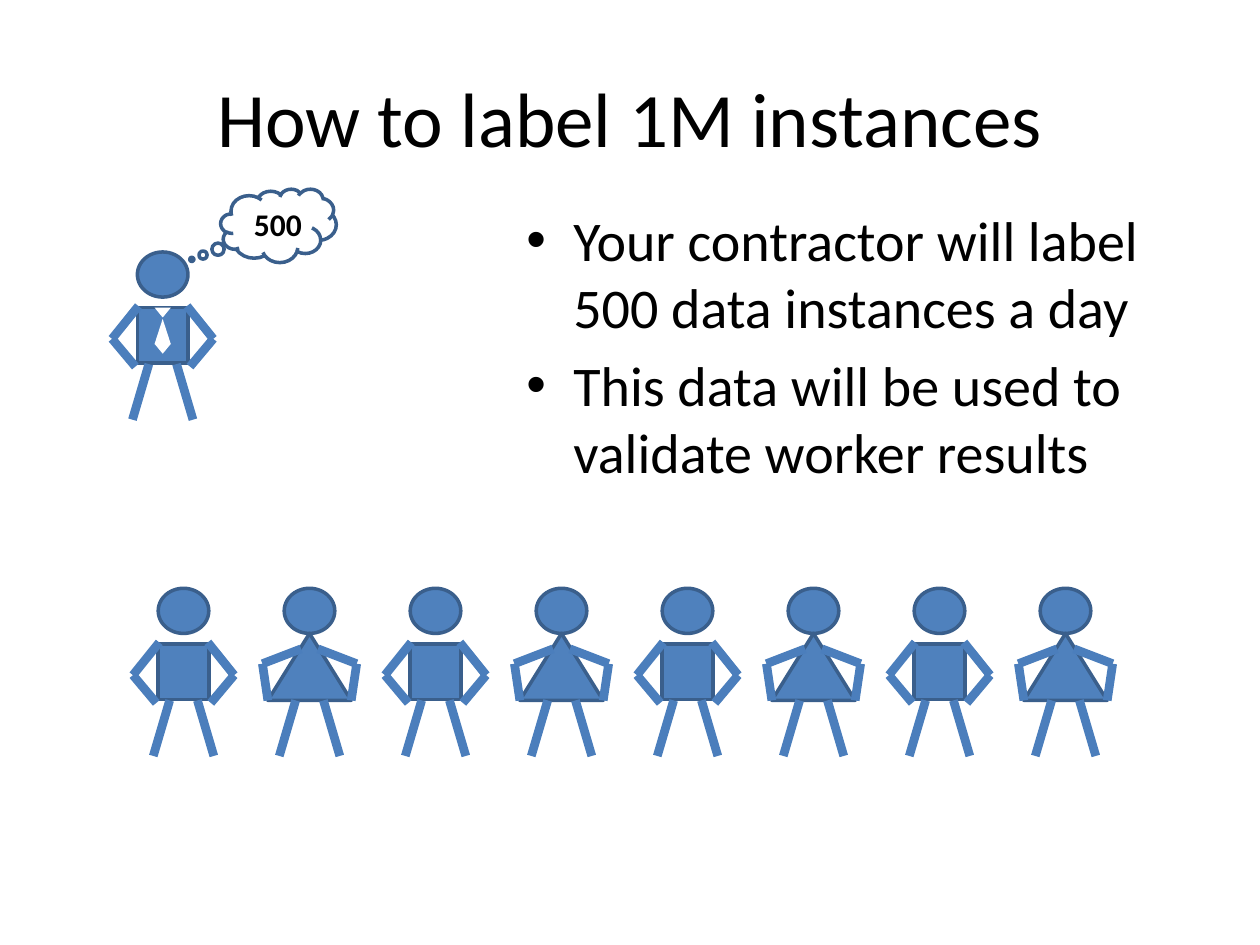
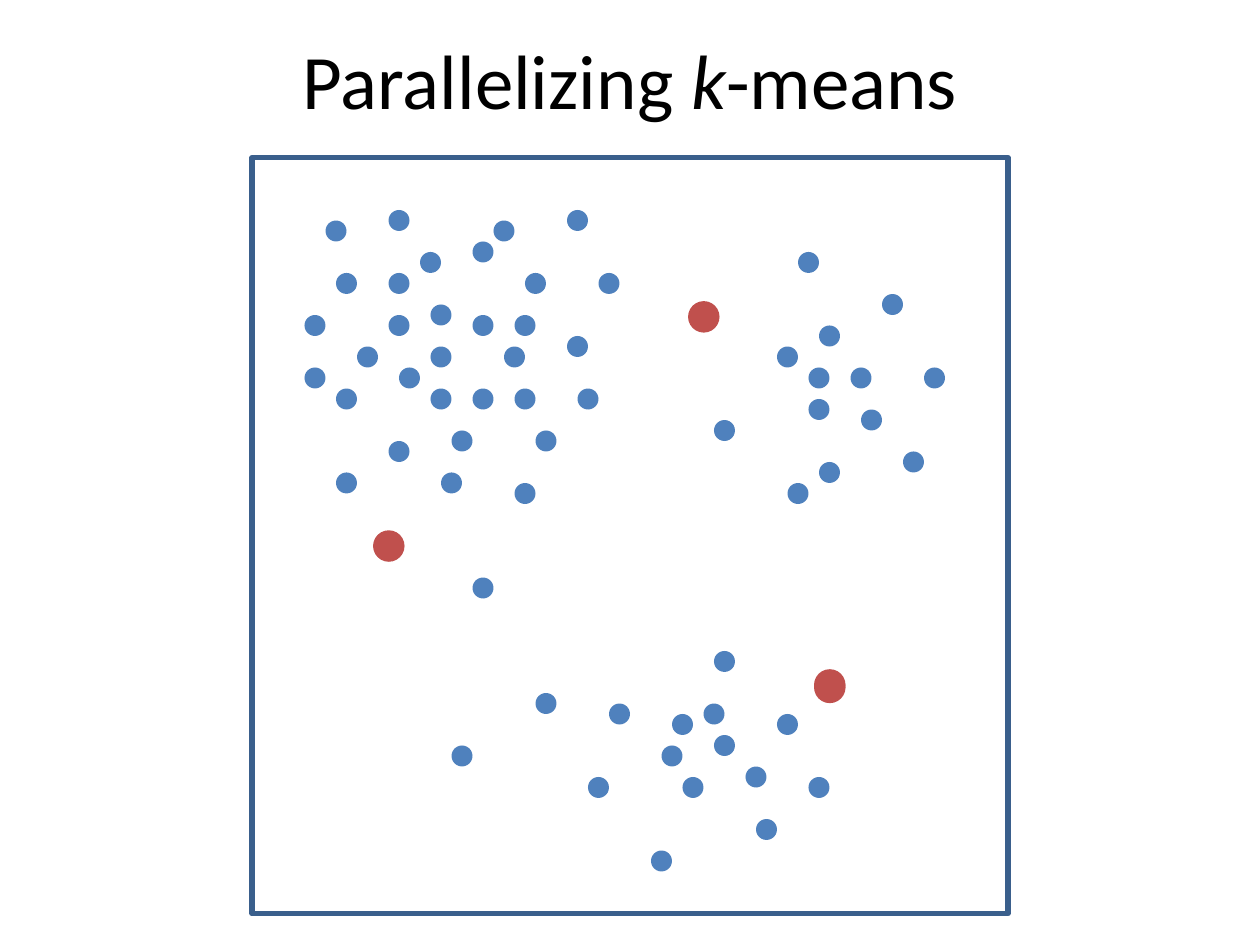
from dataclasses import dataclass

from lxml import etree
from pptx import Presentation
from pptx.dml.color import RGBColor
from pptx.enum.shapes import MSO_CONNECTOR, MSO_SHAPE
from pptx.enum.text import MSO_ANCHOR, MSO_AUTO_SIZE, PP_ALIGN
from pptx.oxml.ns import qn
from pptx.util import Cm, Pt

ELLIPSE = MSO_SHAPE.OVAL
RECTANGLE = MSO_SHAPE.RECTANGLE
TRIANGLE = MSO_SHAPE.ISOSCELES_TRIANGLE
CLOUD = MSO_SHAPE.CLOUD_CALLOUT
STRAIGHT = MSO_CONNECTOR.STRAIGHT
CENTER = PP_ALIGN.CENTER
LEFT = PP_ALIGN.LEFT
MIDDLE = MSO_ANCHOR.MIDDLE
GROW = MSO_AUTO_SIZE.SHAPE_TO_FIT_TEXT
TITLE_ONLY = 5


@dataclass(frozen=True)
class Theme:
    font: str = "Calibri"
    text: str = "000000"
    blue: str = "4F81BD"
    outline: str = "3A5F8C"
    limb: str = "4B7EBC"
    red: str = "C0504D"
    white: str = "FFFFFF"
    title_size: int = 44
    body_size: int = 32
    label_size: int = 18


# Figure proportions in cm, measured from the middle of the head's top
HEAD = (1.02, 0.91)
MAN_ARM = [(0.49, 1.09), (1.02, 1.75), (0.55, 2.31)]
WOMAN_ARM = [(0.17, 1.22), (0.95, 1.52), (0.84, 2.26)]
LEG = [(0.28, 2.26), (0.61, 3.38)]
# Tie pieces: top, height, rotation
TIE = [(1.35, 0.51, 0), (1.85, 0.2, 180), (1.12, 0.2, 180)]
TIE_WIDTH = 0.33
WORKERS = 8
WORKER_PITCH = 2.54

# Scatter positions count grid steps from the slide's top left corner
GRID = 2.54 / 12
DOT_SIZE = 2 * GRID
CENTROID_SIZE = 3 * GRID
LEFT_CLUSTER = [
    (31, 21), (37, 20), (47, 21), (54, 20), (45, 23), (40, 24), (32, 26),
    (37, 26), (50, 26), (57, 26), (41, 29), (29, 30), (37, 30), (45, 30),
    (49, 30), (54, 32), (34, 33), (41, 33), (48, 33), (29, 35), (38, 35),
    (32, 37), (41, 37), (45, 37), (49, 37), (55, 37), (43, 41), (51, 41),
    (37, 42), (32, 45), (42, 45), (49, 46), (45, 55),
]
RIGHT_CLUSTER = [
    (76, 24), (84, 28), (78, 31), (74, 33), (77, 35), (81, 35), (88, 35),
    (77, 38), (82, 39), (68, 40), (86, 43), (78, 44), (75, 46),
]
LOWER_CLUSTER = [
    (68, 62), (51, 66), (58, 67), (67, 67), (64, 68), (74, 68), (68, 70),
    (43, 71), (63, 71), (71, 73), (56, 74), (65, 74), (77, 74), (72, 78),
    (62, 81),
]
# Centroid corners in cm
CENTROIDS = [(7.52, 10.69), (13.87, 6.07), (16.41, 13.54), (16.41, 13.49)]


def color(value):
    return RGBColor.from_string(value)


def add_text(para, text, *, font, size, fill, bold=False, italic=False):
    span = para.add_run()
    span.text = text
    span.font.name = font
    span.font.size = Pt(size)
    span.font.bold = bold
    span.font.italic = italic
    span.font.color.rgb = color(fill)


class SlideBuilder:
    """Holds the style and the slide being drawn."""

    def __init__(self, deck, theme):
        self.deck = deck
        self.theme = theme
        self.page = None
        self.shapes = None

    def start(self, top, spans):
        """Add a slide whose title is a list of (text, italic) spans."""
        layout = self.deck.slide_layouts[TITLE_ONLY]
        self.page = self.deck.slides.add_slide(layout)
        self.shapes = self.page.shapes
        title = self.page.shapes.title
        title.left, title.top = Cm(1.27), Cm(top)
        title.width, title.height = Cm(22.86), Cm(3.18)
        title.text_frame.vertical_anchor = MIDDLE
        para = title.text_frame.paragraphs[0]
        para.alignment = CENTER
        for text, italic in spans:
            add_text(para, text, font=self.theme.font,
                     size=self.theme.title_size, fill=self.theme.text,
                     italic=italic)

    def begin_group(self):
        self.shapes = self.page.shapes.add_group_shape().shapes

    def end_group(self):
        self.shapes = self.page.shapes

    def shape(self, kind, left, top, width, height, fill=None, line=None,
              line_width=2):
        box = self.shapes.add_shape(kind, Cm(left), Cm(top), Cm(width),
                                    Cm(height))
        box.shadow.inherit = False
        if fill:
            box.fill.solid()
            box.fill.fore_color.rgb = color(fill)
        else:
            box.fill.background()
        if line:
            box.line.color.rgb = color(line)
            box.line.width = Pt(line_width)
        else:
            box.line.fill.background()
        return box

    def limb(self, center, top, side, points):
        """Join the points by straight lines; side is -1 or 1."""
        for (x1, y1), (x2, y2) in zip(points, points[1:]):
            line = self.shapes.add_connector(
                STRAIGHT, Cm(center + side * x1), Cm(top + y1),
                Cm(center + side * x2), Cm(top + y2))
            line.line.color.rgb = color(self.theme.limb)
            line.line.width = Pt(5)
            etree.SubElement(line._element.spPr, qn("a:effectLst"))

    def person(self, center, top, woman=False, tie=False):
        theme = self.theme
        self.begin_group()
        # Head and body
        if woman:
            kind, width, body_top, height = TRIANGLE, 1.68, 0.91, 1.35
        else:
            kind, width, body_top, height = RECTANGLE, 1.02, 1.12, 1.12
        self.shape(ELLIPSE, center - HEAD[0] / 2, top, *HEAD,
                   theme.blue, theme.outline)
        self.shape(kind, center - width / 2, top + body_top, width, height,
                   theme.blue, theme.outline)
        # Arms and legs
        for side in (1, -1):
            self.limb(center, top, side, WOMAN_ARM if woman else MAN_ARM)
            self.limb(center, top, side, LEG)
        # Tie
        for piece_top, piece_height, rotation in TIE if tie else []:
            piece = self.shape(TRIANGLE, center - TIE_WIDTH / 2,
                               top + piece_top, TIE_WIDTH, piece_height,
                               theme.white)
            piece.rotation = rotation
        self.end_group()

    def bullets(self, left, top, width, height, lines):
        box = self.shapes.add_textbox(Cm(left), Cm(top), Cm(width), Cm(height))
        frame = box.text_frame
        frame.word_wrap = True
        for index, text in enumerate(lines):
            para = frame.add_paragraph() if index else frame.paragraphs[0]
            properties = para._p.get_or_add_pPr()
            properties.set("marL", str(Cm(0.95)))
            properties.set("indent", str(-Cm(0.95)))
            etree.SubElement(properties, qn("a:buFont"), typeface="Arial")
            etree.SubElement(properties, qn("a:buChar"), char="•")
            if index:
                para.space_before = Pt(6.4)
            add_text(para, text, font=self.theme.font,
                     size=self.theme.body_size, fill=self.theme.text)

    def label(self, left, top, width, height, text):
        box = self.shapes.add_textbox(Cm(left), Cm(top), Cm(width), Cm(height))
        frame = box.text_frame
        frame.word_wrap = False
        frame.auto_size = GROW
        frame.paragraphs[0].alignment = LEFT
        add_text(frame.paragraphs[0], text, font=self.theme.font,
                 size=self.theme.label_size, fill=self.theme.text, bold=True)

    def dot(self, left, top, size, fill):
        self.shape(ELLIPSE, left, top, size, size, fill)


def build_labeling(builder):
    builder.start(0.76, [("How to label 1M instances", False)])
    # Contractor above a row of workers
    builder.person(3.28, 5.08, tie=True)
    for index in range(WORKERS):
        builder.person(3.7 + index * WORKER_PITCH, 11.86,
                       woman=index % 2 == 1)
    builder.bullets(10.36, 4.01, 13.97, 6.55, [
        "Your contractor will label 500 data instances a day",
        "This data will be used to validate worker results",
    ])
    # Thought bubble
    cloud = builder.shape(CLOUD, 4.45, 3.81, 2.33, 1.48,
                          line=builder.theme.outline)
    cloud.adjustments[0] = -0.75
    cloud.adjustments[1] = 0.46
    builder.label(4.87, 4.01, 1.48, 1.02, "500")


def build_k_means(builder):
    theme = builder.theme
    builder.start(0, [("Parallelizing ", False), ("k", True),
                      ("-means", False)])
    # Plot frame
    builder.shape(RECTANGLE, 5.08, 3.18, 15.24, 15.24, line=theme.outline,
                  line_width=3)
    # Data points, one group for each cluster
    for cluster in (LEFT_CLUSTER, RIGHT_CLUSTER, LOWER_CLUSTER):
        builder.begin_group()
        for column, row in cluster:
            builder.dot(column * GRID, row * GRID, DOT_SIZE, theme.blue)
        builder.end_group()
    # Centroids
    for left, top in CENTROIDS:
        builder.dot(left, top, CENTROID_SIZE, theme.red)


def main():
    deck = Presentation()
    deck.slide_width, deck.slide_height = Cm(25.4), Cm(19.05)
    builder = SlideBuilder(deck, Theme())
    build_labeling(builder)
    build_k_means(builder)
    deck.save("out.pptx")


if __name__ == "__main__":
    main()
